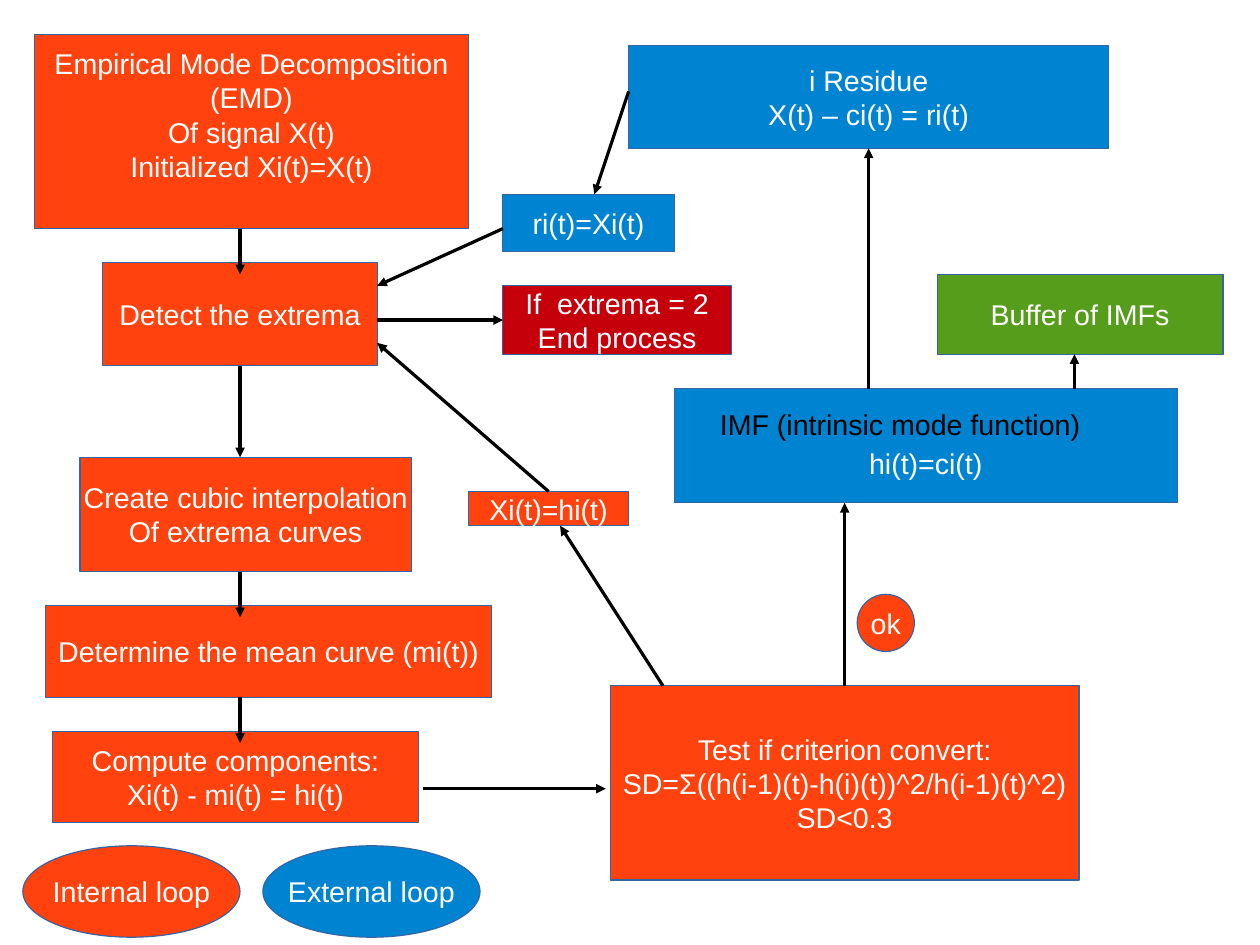
from lxml.etree import SubElement
from pptx import Presentation
from pptx.dml.color import RGBColor
from pptx.enum.shapes import MSO_CONNECTOR as CONN, MSO_SHAPE as SHAPE
from pptx.enum.text import MSO_ANCHOR as ANCHOR, PP_ALIGN as ALIGN
from pptx.oxml.ns import qn
from pptx.util import Pt

ORANGE = RGBColor(0xFF, 0x42, 0x0E)
BLUE = RGBColor(0x00, 0x84, 0xD1)
GREEN = RGBColor(0x57, 0x9D, 0x1C)
RED = RGBColor(0xC5, 0x00, 0x0B)
OUTLINE = RGBColor(0x34, 0x65, 0xA4)
WHITE = RGBColor(0xFF, 0xFF, 0xFF)
BLACK = RGBColor(0x00, 0x00, 0x00)

GRID = 7.2  # points per grid step
TOP, LEFT, BOTTOM = 0, 1, 2  # connection sites of a rectangle
INSET = 3.6
WIDE_INSET = 24.8  # leaves room for one more line of text


def grid(*steps):
    return [Pt(GRID * n) for n in steps]


def write(tf, lines, color):
    for i, line in enumerate(lines):
        p = tf.paragraphs[0] if i == 0 else tf.add_paragraph()
        p.alignment = ALIGN.CENTER
        r = p.add_run()
        r.text = line
        r.font.name = "Arial"
        r.font.size = Pt(18)
        r.font.color.rgb = color


def box(s, at, fill, *lines, shape=SHAPE.RECTANGLE, top=INSET, bottom=INSET):
    sp = s.shapes.add_shape(shape, *grid(*at))
    sp.shadow.inherit = False
    sp.fill.solid()
    sp.fill.fore_color.rgb = fill
    sp.line.color.rgb = OUTLINE
    sp.line.width = Pt(0)
    tf = sp.text_frame
    tf.word_wrap = False
    tf.vertical_anchor = ANCHOR.MIDDLE
    tf.margin_top, tf.margin_bottom = Pt(top), Pt(bottom)
    write(tf, lines, WHITE)
    return sp


def caption(s, at, text):
    tf = s.shapes.add_textbox(*grid(*at)).text_frame
    tf.word_wrap = True
    write(tf, [text], BLACK)


def arrow(s, start, end, begin_at=None, end_at=None):
    c = s.shapes.add_connector(CONN.STRAIGHT, *grid(*start, *end))
    if begin_at:
        c.begin_connect(*begin_at)
    if end_at:
        c.end_connect(*end_at)
    c.line.color.rgb = BLACK
    c.line.width = Pt(0)
    SubElement(c.line._get_or_add_ln(), qn("a:tailEnd"), type="triangle")
    SubElement(c._element.spPr, qn("a:effectLst"))


def main():
    prs = Presentation()
    prs.slide_width, prs.slide_height = Pt(793.7), Pt(595.28)
    s = prs.slides.add_slide(prs.slide_layouts[6])

    # Internal loop
    box(s, (3, 3, 38, 17), ORANGE, "Empirical Mode Decomposition", "(EMD)",
        "Of signal X(t)", "Initialized Xi(t)=X(t)", bottom=WIDE_INSET)
    detect = box(s, (9, 23, 24, 9), ORANGE, "Detect the extrema")
    box(s, (7, 40, 29, 10), ORANGE,
        "Create cubic interpolation", "Of extrema curves")
    box(s, (4, 53, 39, 8), ORANGE, "Determine the mean curve (mi(t))")
    box(s, (4.6, 64, 32, 8), ORANGE,
        "Compute components:", "Xi(t) - mi(t) = hi(t)")
    test = box(s, (53.4, 60, 41, 17), ORANGE, "Test if criterion convert:",
               "SD=Σ((h(i-1)(t)-h(i)(t))^2/h(i-1)(t)^2)", "SD<0.3")
    update = box(s, (41, 43, 14, 3), ORANGE, "Xi(t)=hi(t)")
    box(s, (75, 52, 5, 5), ORANGE, "ok", shape=SHAPE.OVAL)

    # External loop
    box(s, (59, 34, 44, 10), BLUE, "hi(t)=ci(t)", top=WIDE_INSET)
    caption(s, (60.4, 35.1, 36.7, 3.9), "IMF (intrinsic mode function)")
    residue = box(s, (55, 4, 42, 9), BLUE, "i Residue", "X(t) – ci(t) = ri(t)")
    box(s, (44, 17, 15, 5), BLUE, "ri(t)=Xi(t)")

    # Results
    box(s, (82, 24, 25, 7), GREEN, "Buffer of IMFs")
    finish = box(s, (44, 25, 20, 6), RED, "If  extrema = 2", "End process")

    # Legend
    box(s, (2, 74, 19, 8), ORANGE, "Internal loop", shape=SHAPE.OVAL)
    box(s, (23, 74, 19, 8), BLUE, "External loop", shape=SHAPE.OVAL)

    # Arrows down the main column
    for y in (20, 50, 61):
        arrow(s, (21, y), (21, y + 4))
    arrow(s, (21, 32), (21, 40), begin_at=(detect, BOTTOM))

    # Arrows of the internal loop
    arrow(s, (37, 69), (53, 69))
    arrow(s, (58, 60), (49, 46))
    arrow(s, (48, 43), (33, 30), begin_at=(update, TOP))
    arrow(s, (33, 28), (44, 28), end_at=(finish, LEFT))

    # Arrows of the external loop
    arrow(s, (73.9, 60), (73.9, 44), begin_at=(test, TOP))
    arrow(s, (76, 34), (76, 13), end_at=(residue, BOTTOM))
    arrow(s, (94, 34), (94, 31))
    arrow(s, (55, 8), (52, 17))
    arrow(s, (44, 20), (33, 25))

    prs.save("out.pptx")


if __name__ == "__main__":
    main()
